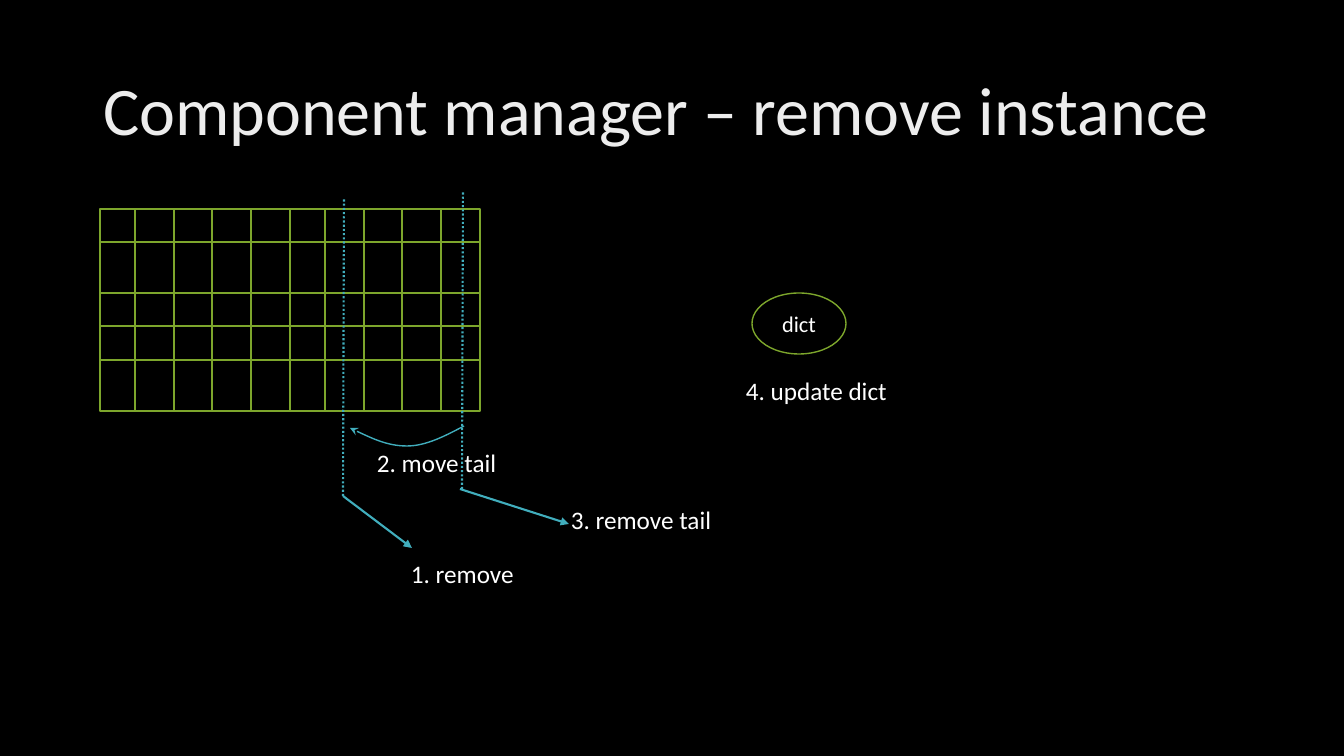
from itertools import accumulate

from lxml.etree import SubElement
from pptx import Presentation
from pptx.dml.color import RGBColor
from pptx.enum.dml import MSO_LINE
from pptx.enum.shapes import MSO_CONNECTOR, MSO_SHAPE
from pptx.enum.text import MSO_ANCHOR, MSO_AUTO_SIZE, PP_ALIGN
from pptx.oxml.ns import qn
from pptx.util import Emu, Pt

# Content, lengths in px
SLIDE = (1344, 756)
TITLE = ("Component manager – remove instance", (93, 40, 1159, 146))
TITLE_GRADIENT = [(0, "BFBFBF"), (28, "EDEDED"), (100, "FFFFFF")]
TITLE_ANGLE = 80
GRID_ORIGIN = (100, 209)
COLUMN_WIDTHS = [35, 39, 38, 39, 39] * 2
ROW_HEIGHTS = [33, 51, 33, 34, 51]
LABELS = [
    ("1. remove", (401, 553, 150, 40)),
    ("2. move tail", (367, 442, 144, 40)),
    ("3. remove tail", (561, 499, 170, 40)),
    ("4. update dict", (736, 370, 170, 40)),
]
DICT = ("dict", (752, 293, 94, 61))
GUIDES = [((343, 496), (344, 199)), ((462, 489), (463, 192))]
ARROWS = [((343, 496), (412, 548)), ((460, 489), (569, 524))]
MOVE_CURVE = [(464, 426), (445, 436), (426, 446), (407, 446),
              (388, 446), (369, 437), (350, 428)]

BLACK, WHITE, GREEN, TEAL = "000000", "FFFFFF", "7DA62C", "41AEBD"
FONT = "Calibri"
EMU_PER_PX = 914400 / 100.8


def px(*lengths):
    return [Emu(round(length * EMU_PER_PX)) for length in lengths]


def rgb(value):
    return RGBColor.from_string(value)


def write(frame, text, size=18, color=WHITE, align=PP_ALIGN.LEFT,
          anchor=MSO_ANCHOR.TOP, spacing=None):
    frame.word_wrap = True
    frame.auto_size = MSO_AUTO_SIZE.NONE
    frame.vertical_anchor = anchor
    paragraph = frame.paragraphs[0]
    paragraph.alignment = align
    paragraph.line_spacing = spacing
    run = paragraph.add_run()
    run.text = text
    run.font.name, run.font.size = FONT, Pt(size)
    run.font.color.rgb = rgb(color)
    return run


def stroke(line, color, width=1, dash=None, head=None):
    line.color.rgb = rgb(color)
    line.width = Pt(width)
    if dash:
        line.dash_style = dash
    if head:
        SubElement(line._get_or_add_ln(), qn("a:tailEnd"), type=head)


def outline(shapes, kind, box):
    shape = shapes.add_shape(kind, *px(*box))
    shape.shadow.inherit = False
    shape.fill.background()
    stroke(shape.line, GREEN)
    return shape


def connect(start, end, **style):
    connector = slide.shapes.add_connector(MSO_CONNECTOR.STRAIGHT, *px(*start, *end))
    stroke(connector.line, TEAL, 1.5, **style)
    SubElement(connector._element.spPr, qn("a:effectLst"))


deck = Presentation()
deck.slide_width, deck.slide_height = px(*SLIDE)
slide = deck.slides.add_slide(deck.slide_layouts[5])
slide.background.fill.solid()
slide.background.fill.fore_color.rgb = rgb(BLACK)

# Title with gradient lettering
title_text, title_box = TITLE
title = slide.shapes.title
title.left, title.top, title.width, title.height = px(*title_box)
title_run = write(title.text_frame, title_text, size=48.6,
                  anchor=MSO_ANCHOR.MIDDLE, spacing=0.9)
title_run.font.fill.gradient()
gradient = title_run._r.rPr.find(qn("a:gradFill"))
for part in list(gradient):
    gradient.remove(part)
stops = SubElement(gradient, qn("a:gsLst"))
for position, color in TITLE_GRADIENT:
    stop = SubElement(stops, qn("a:gs"), pos=str(position * 1000))
    SubElement(stop, qn("a:srgbClr"), val=color)
SubElement(gradient, qn("a:lin"), ang=str(TITLE_ANGLE * 60000), scaled="0")

# Component grid
grid = slide.shapes.add_group_shape()
lefts = accumulate(COLUMN_WIDTHS, initial=GRID_ORIGIN[0])
columns = list(zip(lefts, COLUMN_WIDTHS))
tops = accumulate(ROW_HEIGHTS, initial=GRID_ORIGIN[1])
for top, height in zip(tops, ROW_HEIGHTS):
    for left, width in columns:
        outline(grid.shapes, MSO_SHAPE.RECTANGLE, (left, top, width, height))

# Step labels
for label, box in LABELS:
    write(slide.shapes.add_textbox(*px(*box)).text_frame, label)

# Dotted guides and the arrows at their feet
for start, end in GUIDES:
    connect(start, end, dash=MSO_LINE.ROUND_DOT)
for start, end in ARROWS:
    connect(start, end, head="triangle")

# Curved arrow: every three points after the start make one Bezier segment
curve_points = [px(*point) for point in MOVE_CURVE]
builder = slide.shapes.build_freeform(*curve_points[0])
builder.add_line_segments(curve_points[1:], close=False)
curve = builder.convert_to_shape()
curve.shadow.inherit = False
curve.fill.background()
stroke(curve.line, TEAL, head="stealth")
segments = list(curve._element.iter(qn("a:lnTo")))
outline_path = segments[0].getparent()
for first in range(0, len(segments), 3):
    bezier = SubElement(outline_path, qn("a:cubicBezTo"))
    for segment in segments[first:first + 3]:
        bezier.append(segment[0])
        outline_path.remove(segment)

# Dictionary
dict_text, dict_box = DICT
dictionary = outline(slide.shapes, MSO_SHAPE.OVAL, dict_box)
write(dictionary.text_frame, dict_text, size=16, align=PP_ALIGN.CENTER,
      anchor=MSO_ANCHOR.MIDDLE)

deck.save("out.pptx")
